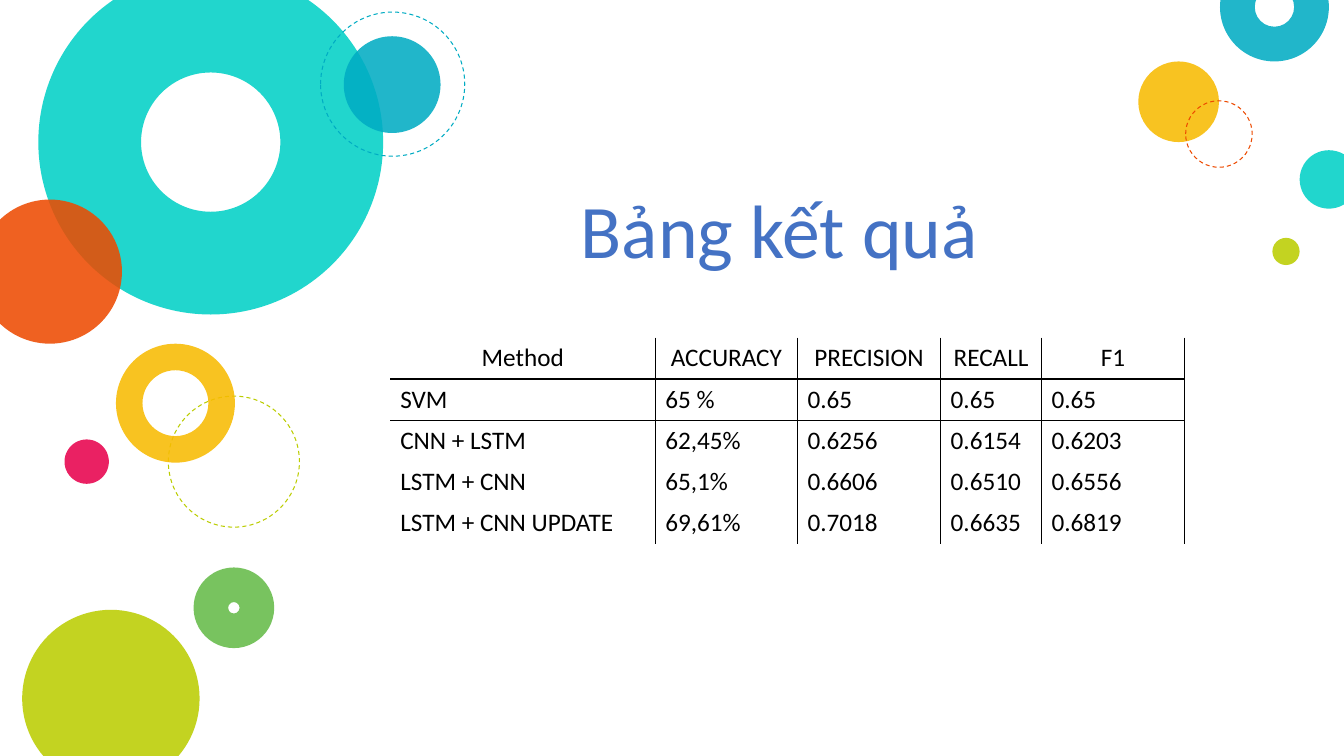
from lxml.etree import SubElement
from pptx import Presentation
from pptx.dml.color import RGBColor
from pptx.enum.dml import MSO_LINE_DASH_STYLE as DASH
from pptx.enum.shapes import MSO_SHAPE as SHAPE
from pptx.enum.text import MSO_ANCHOR as ANCHOR, PP_ALIGN as ALIGN
from pptx.oxml import parse_xml
from pptx.oxml.ns import nsdecls, qn
from pptx.util import Inches, Pt

COLORS = {
    "teal": "00D1C6", "orange": "ED4A00", "cyan": "00ACC3", "amber": "F8BB00",
    "lime": "BBCD00", "green": "65BB48", "pink": "E8004C",
    "title": "4472C4", "black": "000000", "white": "FFFFFF",
}
FONT = "Calibri"
OPACITY = 87
PLAIN_TABLE_STYLE = "{2D5ABB26-0587-4C30-8999-92F81FD0307C}"

BACK_RINGS = [("lime", 1.67, 3.93, 1.3)]
FRONT_RINGS = [("cyan", 3.18, 0.12, 1.43), ("orange", 11.76, 1, 0.66)]
DISCS = [
    ("teal", 0.38, -0.3, 3.42, 0.298),
    ("orange", -0.22, 1.98, 1.43, None),
    ("cyan", 3.41, 0.36, 0.96, None),
    ("amber", 1.15, 3.41, 1.18, 0.223),
    ("lime", 0.22, 6.05, 1.76, None),
    ("green", 1.92, 5.63, 0.8, 0.429),
    ("pink", 0.64, 4.36, 0.44, None),
    ("amber", 11.29, 0.61, 0.8, None),
    ("teal", 12.89, 1.49, 0.58, None),
    ("cyan", 12.1, -0.47, 1.08, 0.319),
    ("lime", 12.62, 2.36, 0.27, None),
]
RESULTS = [
    ("Method", "ACCURACY", "PRECISION", "RECALL", "F1"),
    ("SVM", "65 %", "0.65", "0.65", "0.65"),
    ("CNN + LSTM", "62,45%", "0.6256", "0.6154", "0.6203"),
    ("LSTM + CNN", "65,1%", "0.6606", "0.6510", "0.6556"),
    ("LSTM + CNN UPDATE", "69,61%", "0.7018", "0.6635", "0.6819"),
]
COLUMN_WIDTHS = (2.63, 1.41, 1.42, 1, 1.42)
ROW_HEIGHT = 0.41


def rgb(name):
    """Return the palette colour with this name."""
    return RGBColor.from_string(COLORS[name])


def style_text(paragraph, color, size, align):
    """Set the font and alignment of a paragraph."""
    paragraph.alignment = align
    for attribute, value in {"name": FONT, "size": Pt(size), "bold": False}.items():
        setattr(paragraph.font, attribute, value)
    paragraph.font.color.rgb = rgb(color)


def add_round(slide, kind, left, top, size):
    """Add a round shape without a shadow."""
    circle = slide.shapes.add_shape(
        kind, Inches(left), Inches(top), Inches(size), Inches(size))
    circle.shadow.inherit = False
    return circle


def add_disc(slide, color, left, top, size, thickness):
    """Add a translucent disc, or a donut when a thickness is given."""
    kind = SHAPE.DONUT if thickness else SHAPE.OVAL
    disc = add_round(slide, kind, left, top, size)
    if thickness:
        disc.adjustments[0] = thickness
    disc.fill.solid()
    disc.fill.fore_color.rgb = rgb(color)
    disc.line.fill.background()
    tint = disc.fill._xPr.find(".//" + qn("a:srgbClr"))
    SubElement(tint, qn("a:alpha"), val=str(OPACITY * 1000))


def add_ring(slide, color, left, top, size):
    """Add a dashed circle outline."""
    ring = add_round(slide, SHAPE.OVAL, left, top, size)
    ring.fill.background()
    ring.line.color.rgb = rgb(color)
    ring.line.width = Pt(0.75)
    ring.line.dash_style = DASH.DASH


def set_title(slide, text):
    """Place and format the slide title."""
    title = slide.shapes.title
    box = {"left": 5.64, "top": 1.76, "width": 4.35, "height": 1.01}
    for attribute, value in box.items():
        setattr(title, attribute, Inches(value))
    frame = title.text_frame
    frame.text = text
    frame.word_wrap = False
    frame.vertical_anchor = ANCHOR.TOP
    style_text(frame.paragraphs[0], "title", 54, ALIGN.CENTER)


def add_borders(cell, edges):
    """Draw thin black borders on the given edges, in L, R, T, B order."""
    properties = cell._tc.get_or_add_tcPr()
    for position, edge in enumerate(edges):
        border = parse_xml(
            f'<a:ln{edge} {nsdecls("a")} w="{Pt(1)}"><a:solidFill>'
            f'<a:srgbClr val="{COLORS["black"]}"/></a:solidFill></a:ln{edge}>')
        properties.insert(position, border)


def add_results(slide):
    """Add the table of scores for each method."""
    table = slide.shapes.add_table(
        len(RESULTS), len(COLUMN_WIDTHS), Inches(3.87), Inches(3.35),
        Inches(sum(COLUMN_WIDTHS)), Inches(ROW_HEIGHT * len(RESULTS))).table
    table.first_row = table.horz_banding = False
    table._tbl.tblPr.find(qn("a:tableStyleId")).text = PLAIN_TABLE_STYLE
    for column, width in zip(table.columns, COLUMN_WIDTHS):
        column.width = Inches(width)
    for r, scores in enumerate(RESULTS):
        table.rows[r].height = Inches(ROW_HEIGHT)
        for c, score in enumerate(scores):
            cell = table.cell(r, c)
            cell.text = score
            align = ALIGN.CENTER if r == 0 else ALIGN.LEFT
            style_text(cell.text_frame.paragraphs[0], "black", 18, align)
            cell.fill.solid()
            cell.fill.fore_color.rgb = rgb("white")
            rule = {0: "B", 1: "T"}.get(r, "")
            add_borders(cell, ("L" if c else "") + "R" + rule)


def main():
    """Build the results slide and save it."""
    deck = Presentation()
    deck.slide_width, deck.slide_height = Inches(13.33), Inches(7.5)
    slide = deck.slides.add_slide(deck.slide_layouts[5])
    for ring in BACK_RINGS:
        add_ring(slide, *ring)
    for disc in DISCS:
        add_disc(slide, *disc)
    for ring in FRONT_RINGS:
        add_ring(slide, *ring)
    add_results(slide)
    set_title(slide, "Bảng kết quả ")
    deck.save("out.pptx")


if __name__ == "__main__":
    main()
